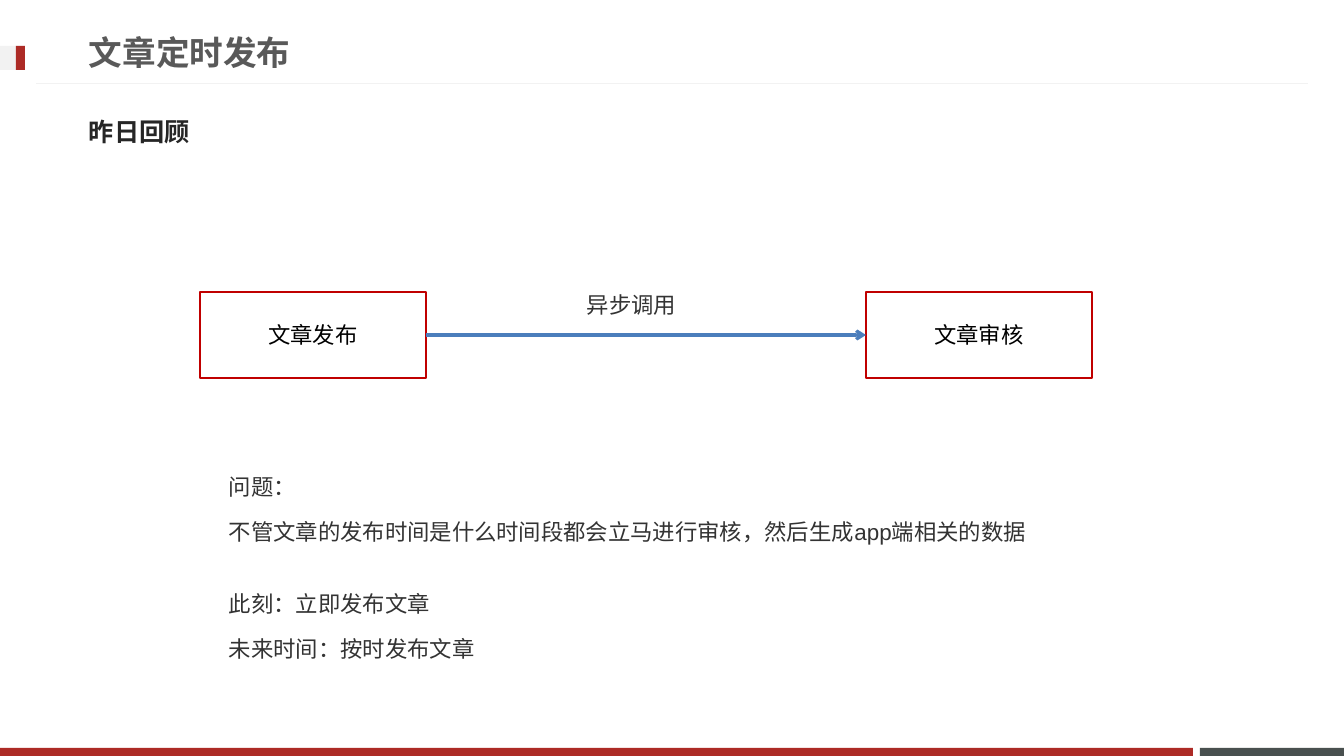
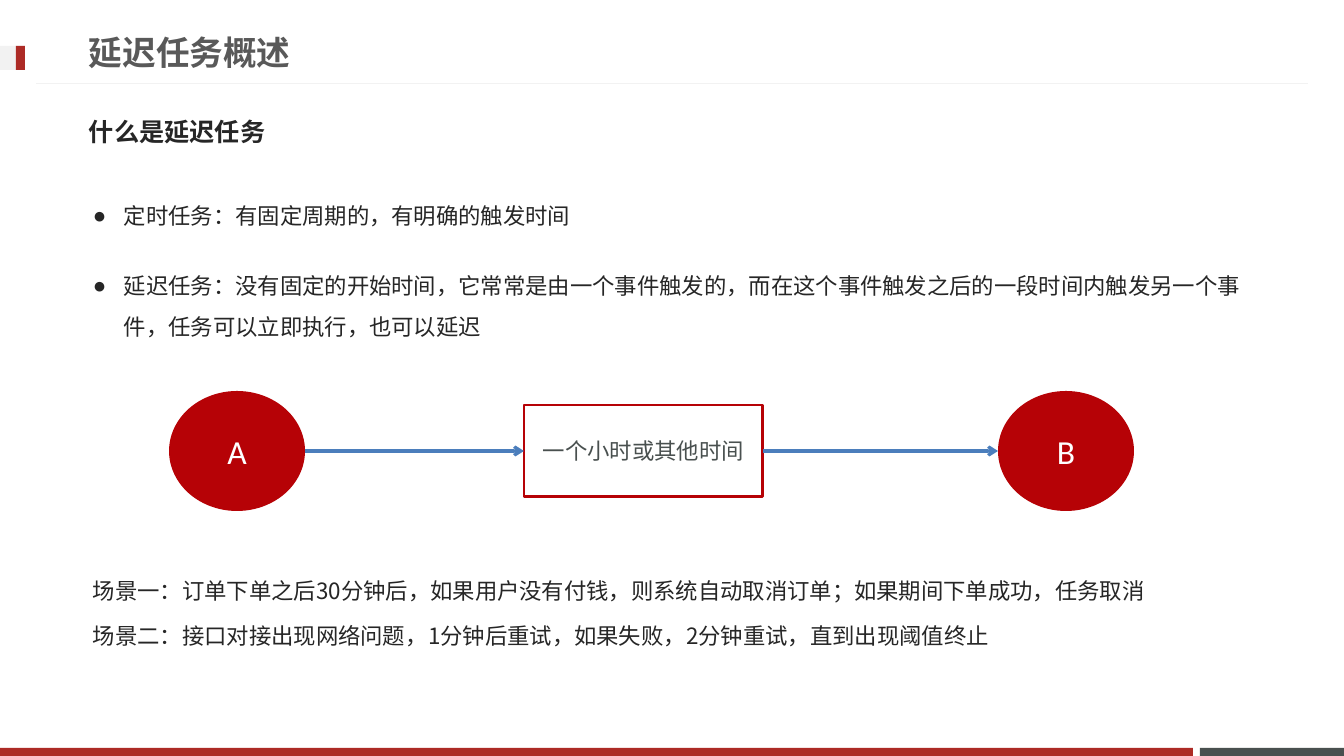
from lxml.etree import SubElement
from pptx import Presentation
from pptx.dml.color import RGBColor
from pptx.enum.shapes import MSO_CONNECTOR, MSO_SHAPE
from pptx.enum.text import MSO_ANCHOR, PP_ALIGN
from pptx.oxml.ns import qn
from pptx.util import Emu, Pt

PX = 914400 / 100.8


class Theme:
    red = RGBColor.from_string("AD2B26")
    slate = RGBColor.from_string("49504F")
    pale = RGBColor.from_string("F2F2F2")
    grey = RGBColor.from_string("595959")
    dark = RGBColor.from_string("262626")
    soft = RGBColor.from_string("333333")
    black = RGBColor.from_string("000000")
    white = RGBColor.from_string("FFFFFF")
    edge = RGBColor.from_string("C00000")
    deep = RGBColor.from_string("B60206")
    blue = RGBColor.from_string("4B7EBC")
    head, sub, body = Pt(24), Pt(18), Pt(16)
    lead, gap = Pt(29.3), Pt(3)
    sans, label, asian = "Arial", "Calibri", "Noto Sans CJK JP"


def block(slide, kind, box, fill=None, line=None):
    area = [Emu(round(n * PX)) for n in box]
    if kind is None:
        return slide.shapes.add_textbox(*area)
    shape = slide.shapes.add_shape(kind, *area)
    shape.shadow.inherit = False
    if fill is None:
        shape.fill.background()
    else:
        shape.fill.solid()
        shape.fill.fore_color.rgb = fill
    if line is None:
        shape.line.fill.background()
    else:
        shape.line.color.rgb = line
        shape.line.width = Pt(2)
    return shape


def write(shape, text, size=Theme.body, color=Theme.dark, font=Theme.asian,
          bold=False, align=PP_ALIGN.LEFT, anchor=MSO_ANCHOR.TOP, lead=None, bullet=None):
    frame = shape.text_frame
    frame.word_wrap = True
    frame.vertical_anchor = anchor
    for i, words in enumerate(text.split("\n")):
        para = frame.add_paragraph() if i else frame.paragraphs[0]
        para.alignment = align
        para.space_before = Theme.gap if i else Pt(0)
        if lead:
            para.line_spacing = lead
        if bullet:
            props = para._p.get_or_add_pPr()
            props.set("marL", str(round(31 * PX)))
            props.set("indent", str(round(-31 * PX)))
            SubElement(props, qn("a:buFont")).set("typeface", Theme.sans)
            SubElement(props, qn("a:buChar")).set("char", bullet)
        run = para.add_run()
        run.text = words
        run.font.size, run.font.bold, run.font.name = size, bold, font
        run.font.color.rgb = color
        SubElement(run._r.get_or_add_rPr(), qn("a:ea")).set("typeface", Theme.asian)


deck = Presentation()
deck.slide_width, deck.slide_height = Emu(round(1344 * PX)), Emu(round(756 * PX))

RECT, OVAL = MSO_SHAPE.RECTANGLE, MSO_SHAPE.OVAL
MID = {"align": PP_ALIGN.CENTER, "anchor": MSO_ANCHOR.MIDDLE, "font": Theme.label}
bands = [
    ((1200, 748, 144, 8), Theme.slate),
    ((0, 748, 1193, 8), Theme.red),
    ((0, 46, 25, 24), Theme.pale),
    ((16, 46, 9, 24), Theme.red),
]
heads = [("文章定时发布", "昨日回顾"), ("延迟任务概述", "什么是延迟任务")]
pages, lines = [], []
for title, topic in heads:
    page = deck.slides.add_slide(deck.slide_layouts[6])
    pages.append(page)
    for box, fill in bands:
        block(page, RECT, box, fill)
    rule = page.shapes.add_connector(
        MSO_CONNECTOR.STRAIGHT, *[Emu(round(n * PX)) for n in (1308, 84, 36, 84)])
    lines.append((rule, Theme.pale, Pt(0.75), False))
    write(block(page, None, (79, 24, 967, 57)), title, size=Theme.head,
          color=Theme.grey, font=Theme.sans, bold=True, anchor=MSO_ANCHOR.MIDDLE)
    write(block(page, None, (79, 103, 1179, 57)), topic, size=Theme.sub,
          bold=True, anchor=MSO_ANCHOR.MIDDLE)

review, delay = pages

post = block(review, RECT, (200, 292, 226, 86), line=Theme.edge)
write(post, "文章发布", color=Theme.black, **MID)
check = block(review, RECT, (866, 292, 226, 86), line=Theme.edge)
write(check, "文章审核", color=Theme.black, **MID)

notes = [
    ((577, 272, 168, 57), "异步调用"),
    ((219, 454, 873, 115), "问题：\n不管文章的发布时间是什么时间段都会立马进行审核，然后生成app端相关的数据"),
    ((219, 571, 873, 115), "此刻：立即发布文章\n未来时间：按时发布文章"),
]
for box, text in notes:
    write(block(review, None, box), text, color=Theme.soft, font=Theme.sans, lead=Theme.lead)

facts = [
    ((83, 183, 1179, 57), "定时任务：有固定周期的，有明确的触发时间", "●"),
    ((83, 253, 1179, 106), "延迟任务：没有固定的开始时间，它常常是由一个事件触发的，而在这个事件触发之后的"
     "一段时间内触发另一个事件，任务可以立即执行，也可以延迟", "●"),
    ((83, 558, 1179, 121), "场景一：订单下单之后30分钟后，如果用户没有付钱，则系统自动取消订单；如果期间下单成功，任务取消\n"
     "场景二：接口对接出现网络问题，1分钟后重试，如果失败，2分钟重试，直到出现阈值终止", None),
]
for box, text, mark in facts:
    write(block(delay, None, box), text, lead=Theme.lead, bullet=mark)

wait = block(delay, RECT, (524, 405, 239, 92), line=Theme.deep)
write(wait, "一个小时或其他时间", color=Theme.slate, **MID)
ends = []
for name, left in (("A", 169), ("B", 998)):
    ball = block(delay, OVAL, (left, 391, 136, 120), Theme.deep)
    write(ball, name, size=Theme.head, color=Theme.white, **MID)
    ends.append(ball)

for page, start, stop in ((review, post, check), (delay, ends[0], wait), (delay, wait, ends[1])):
    level = start.top + start.height // 2
    arrow = page.shapes.add_connector(
        MSO_CONNECTOR.STRAIGHT, start.left + start.width, level, stop.left, level)
    if start.auto_shape_type == RECT:
        arrow.begin_connect(start, 3)
    if stop.auto_shape_type == RECT:
        arrow.end_connect(stop, 1)
    lines.append((arrow, Theme.blue, Pt(2.25), True))

for link, color, width, tip in lines:
    link.line.color.rgb = color
    link.line.width = width
    if tip:
        SubElement(link.line._get_or_add_ln(), qn("a:tailEnd")).set("type", "arrow")
    SubElement(link._element.spPr, qn("a:effectLst"))

deck.save("out.pptx")
